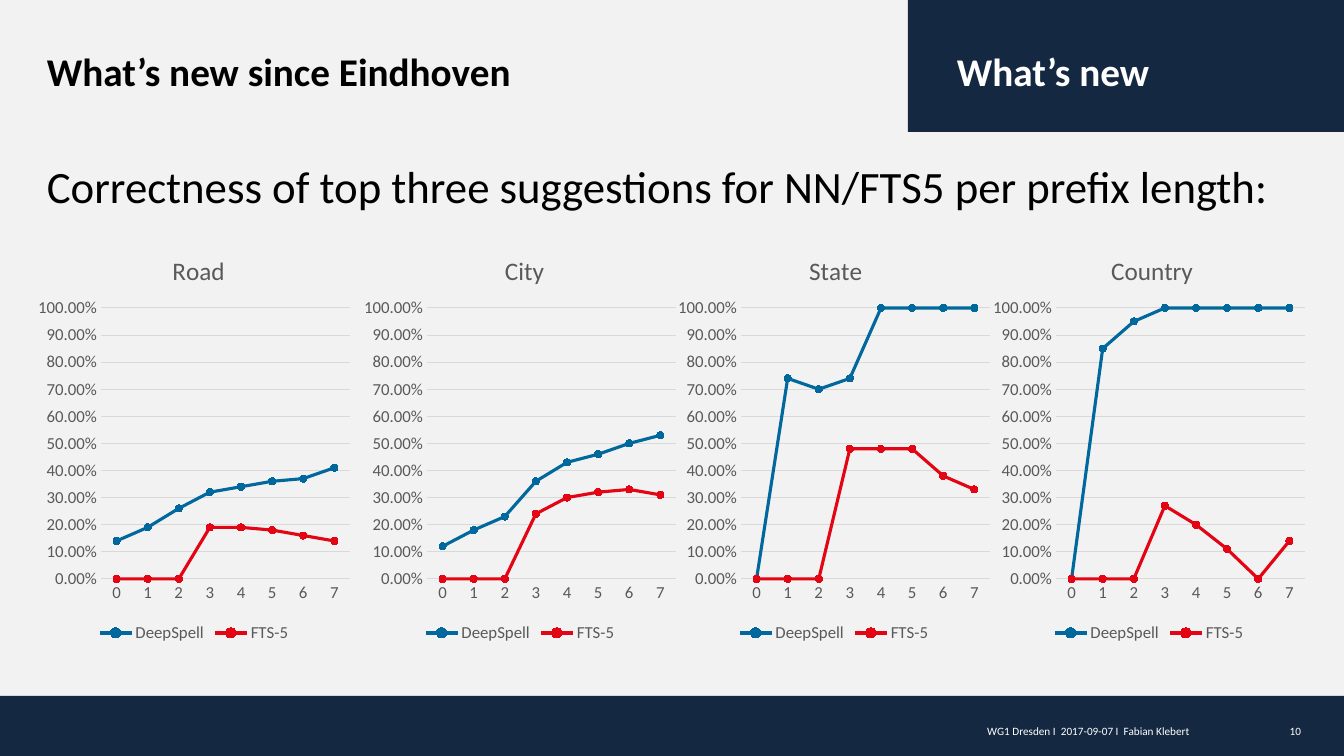
import pptx
import pptx.chart.data
import pptx.dml.color
import pptx.enum.chart
import pptx.enum.shapes
import pptx.enum.text
import pptx.util

COLORS = {
    "background": "F2F2F2", "navy": "142941", "black": "000000", "white": "FFFFFF",
    "label": "595959", "grid": "D9D9D9", "DeepSpell": "00689D", "FTS-5": "E30513",
}
FONT = "Calibri"
PX = 914400 / 100.8
CHART_W, CHART_H, CHART_TOP = 326, 419, 228
PLOT_BOX = (70, 80, 249, 271)

CHARTS = [
    ("Road", 31, 136,
     [0.14, 0.19, 0.26, 0.32, 0.34, 0.36, 0.37, 0.41],
     [0, 0, 0, 0.19, 0.19, 0.18, 0.16, 0.14]),
    ("City", 357, 142,
     [0.12, 0.18, 0.23, 0.36, 0.43, 0.46, 0.5, 0.53],
     [0, 0, 0, 0.24, 0.3, 0.32, 0.33, 0.31]),
    ("State", 671, 135,
     [0, 0.74, 0.7, 0.74, 1, 1, 1, 1],
     [0, 0, 0, 0.48, 0.48, 0.48, 0.38, 0.33]),
    ("Country", 986, 120,
     [0, 0.85, 0.95, 1, 1, 1, 1, 1],
     [0, 0, 0, 0.27, 0.2, 0.11, 0, 0.14]),
]


def emu(px):
    return round(px * PX)


def rgb(name):
    return pptx.dml.color.RGBColor.from_string(COLORS[name])


def format_font(font, size, color, bold=False):
    font.name = FONT
    font.size = pptx.util.Pt(size)
    font.bold = bold
    font.color.rgb = rgb(color)


def write_text(tf, text, size=12, color="black", bold=False, align="LEFT"):
    p = tf.paragraphs[0]
    p.alignment = getattr(pptx.enum.text.PP_ALIGN, align)
    r = p.add_run()
    r.text = text
    format_font(r.font, size, color, bold)


def set_layout(parent, **fractions):
    layout = parent.find(pptx.oxml.ns.qn("c:layout"))
    if layout is None:
        layout = pptx.oxml.parse_xml(f"<c:layout {pptx.oxml.ns.nsdecls('c')}/>")
        tx = parent.find(pptx.oxml.ns.qn("c:tx"))
        if tx is None:
            parent.insert(0, layout)
        else:
            tx.addnext(layout)
    for child in list(layout):
        layout.remove(child)
    manual = pptx.oxml.parse_xml(f"<c:manualLayout {pptx.oxml.ns.nsdecls('c')}/>")
    layout.append(manual)
    for tag, value in fractions.items():
        item = pptx.oxml.parse_xml(f"<c:{tag} {pptx.oxml.ns.nsdecls('c')}/>")
        item.set("val", str(value))
        manual.append(item)


class Deck:
    def __init__(self, width, height):
        self.prs = pptx.Presentation()
        self.prs.slide_width, self.prs.slide_height = emu(width), emu(height)
        self.s = self.prs.slides.add_slide(self.prs.slide_layouts[6])
        self.s.background.fill.solid()
        self.s.background.fill.fore_color.rgb = rgb("background")

    def band(self, *box):
        sp = self.s.shapes.add_shape(pptx.enum.shapes.MSO_SHAPE.RECTANGLE, *map(emu, box))
        sp.shadow.inherit = False
        sp.fill.solid()
        sp.fill.fore_color.rgb = rgb("navy")
        sp.line.fill.background()

    def text(self, box, text, anchor="MIDDLE", inset=True, **style):
        tf = self.s.shapes.add_textbox(*map(emu, box)).text_frame
        tf.word_wrap = True
        tf.vertical_anchor = getattr(pptx.enum.text.MSO_ANCHOR, anchor)
        if not inset:
            tf.margin_left = tf.margin_right = tf.margin_top = tf.margin_bottom = 0
        write_text(tf, text, **style)

    def chart(self, title, left, title_x, **series):
        data = pptx.chart.data.CategoryChartData(number_format="0.00%")
        data.categories = [str(n) for n in range(8)]
        for name, values in series.items():
            data.add_series(name, values)
        chart = self.s.shapes.add_chart(
            pptx.enum.chart.XL_CHART_TYPE.LINE_MARKERS,
            *map(emu, (left, CHART_TOP, CHART_W, CHART_H)), data).chart
        format_font(chart.font, 12, "label")
        chart.has_title = True
        write_text(chart.chart_title.text_frame, title, size=18, color="label", align="CENTER")
        chart.chart_title.include_in_layout = False
        set_layout(chart.chart_title._element, xMode="edge", yMode="edge",
                   x=round(title_x / CHART_W, 2), y=0.05)
        chart.has_legend = True
        chart.legend.position = pptx.enum.chart.XL_LEGEND_POSITION.BOTTOM
        chart.legend.include_in_layout = False
        format_font(chart.legend.font, 12, "label")
        x, y, w, h = PLOT_BOX
        set_layout(chart._chartSpace.chart.plotArea, layoutTarget="inner",
                   xMode="edge", yMode="edge", x=x / CHART_W, y=y / CHART_H,
                   w=w / CHART_W, h=h / CHART_H)
        self.axes(chart)
        chart.plots[0].vary_by_categories = False
        for line in chart.plots[0].series:
            self.series(line)

    def axes(self, chart):
        category, value = chart.category_axis, chart.value_axis
        for axis in (category, value):
            axis.major_tick_mark = axis.minor_tick_mark = pptx.enum.chart.XL_TICK_MARK.NONE
            format_font(axis.tick_labels.font, 12, "label")
        value.minimum_scale, value.maximum_scale, value.major_unit = 0, 1, 0.1
        value.tick_labels.number_format = "0.00%"
        value.tick_labels.number_format_is_linked = False
        value.format.line.fill.background()
        value.has_major_gridlines = True
        for line in (category.format.line, value.major_gridlines.format.line):
            line.color.rgb = rgb("grid")
            line.width = pptx.util.Pt(0.75)

    def series(self, line):
        color = rgb(line.name)
        line.smooth = False
        line.format.line.color.rgb = color
        line.format.line.width = pptx.util.Pt(2.25)
        line.marker.style = pptx.enum.chart.XL_MARKER_STYLE.CIRCLE
        line.marker.size = 5
        line.marker.format.fill.solid()
        line.marker.format.fill.fore_color.rgb = color
        line.marker.format.line.color.rgb = color


def main():
    deck = Deck(1344, 756)
    deck.band(0, 696, 1344, 60)
    deck.band(908, 0, 436, 132)
    deck.text((654, 711, 647, 40), "WG1 Dresden I  2017-09-07 I  Fabian Klebert\t\t10",
              inset=False, size=8, color="white", align="RIGHT")
    deck.text((37, 23, 793, 95), "What’s new since Eindhoven", size=28, bold=True)
    deck.text((947, 23, 360, 95), "What’s new", size=28, color="white", bold=True)
    deck.text((37, 154, 1307, 518),
              "Correctness of top three suggestions for NN/FTS5 per prefix length:",
              anchor="TOP", size=32)
    for title, left, title_x, deepspell, fts in CHARTS:
        deck.chart(title, left, title_x, **{"DeepSpell": deepspell, "FTS-5": fts})
    deck.prs.save("out.pptx")


if __name__ == "__main__":
    main()
